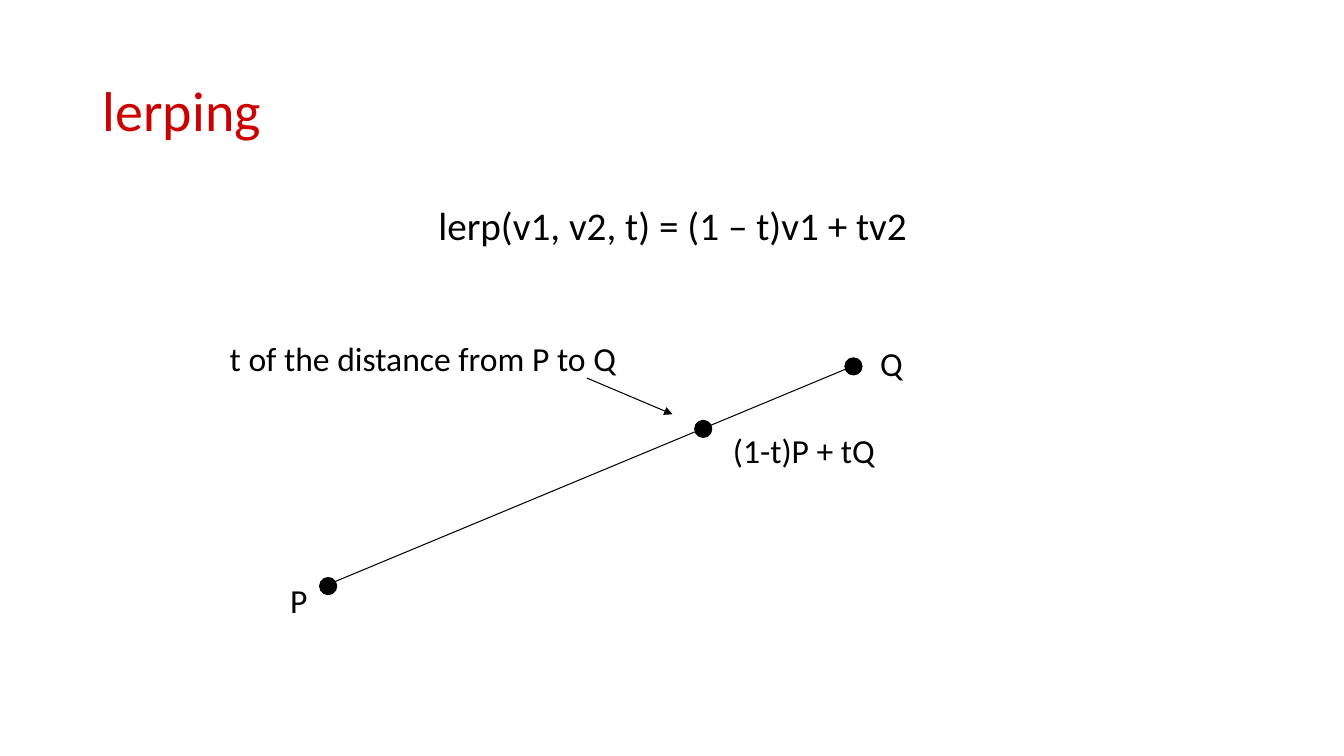
from lxml.etree import SubElement
from pptx import Presentation
from pptx.dml.color import RGBColor
from pptx.enum.shapes import MSO_CONNECTOR, MSO_SHAPE
from pptx.enum.text import MSO_ANCHOR as ANCHOR, PP_ALIGN as ALIGN
from pptx.oxml.ns import qn
from pptx.util import Pt

EMU_PER_PX = 9144  # 100 px to the inch
BLACK = RGBColor(0x00, 0x00, 0x00)
RED = RGBColor(0xCD, 0x00, 0x00)


def px(n):
    return n * EMU_PER_PX


class Diagram:
    font = "Calibri"
    line_width = Pt(0.75)
    dot_size = 17

    def __init__(self, slide):
        self.shapes = slide.shapes

    def text(self, text, x, y, w, h, size=24, color=BLACK, align=ALIGN.LEFT,
             anchor=ANCHOR.TOP, spacing=1.0):
        tf = self.shapes.add_textbox(px(x), px(y), px(w), px(h)).text_frame
        tf.word_wrap = True
        tf.vertical_anchor = anchor
        tf.text = text
        p = tf.paragraphs[0]
        p.alignment = align
        p.line_spacing = spacing
        font = p.runs[0].font
        font.name = self.font
        font.size = Pt(size)
        font.color.rgb = color

    def dot(self, x, y):
        size = px(self.dot_size)
        sp = self.shapes.add_shape(MSO_SHAPE.OVAL, px(x), px(y), size, size)
        sp.shadow.inherit = False
        sp.fill.solid()
        sp.fill.fore_color.rgb = BLACK
        sp.line.color.rgb = BLACK
        sp.line.width = self.line_width

    def line(self, x1, y1, x2, y2, arrow=False):
        c = self.shapes.add_connector(MSO_CONNECTOR.STRAIGHT,
                                      px(x1), px(y1), px(x2), px(y2))
        c.line.color.rgb = BLACK
        c.line.width = self.line_width
        if arrow:
            SubElement(c.line._get_or_add_ln(), qn("a:tailEnd"), type="triangle")
        SubElement(c._element.spPr, qn("a:effectLst"))


def main():
    prs = Presentation()
    prs.slide_width, prs.slide_height = px(1333), px(750)
    d = Diagram(prs.slides.add_slide(prs.slide_layouts[6]))

    d.text("lerping", 92, 40, 1150, 145, size=40, color=RED,
           anchor=ANCHOR.MIDDLE, spacing=0.9)
    d.text("lerp(v1, v2, t) = (1 – t)v1 + tv2", 92, 200, 1150, 476, size=28,
           align=ALIGN.CENTER, spacing=0.9)

    d.line(325, 580, 849, 362)
    for x, y in ((317, 573), (838, 355), (689, 417)):
        d.dot(x, y)

    for label, x, y, w in (("P", 278, 570, 49),
                           ("Q", 863, 335, 49),
                           ("(1-t)P + tQ", 717, 422, 352),
                           ("t of the distance from P to Q", 218, 330, 494)):
        d.text(label, x, y, w, 50)
    d.line(582, 375, 667, 411, arrow=True)

    prs.save("out.pptx")


if __name__ == "__main__":
    main()
